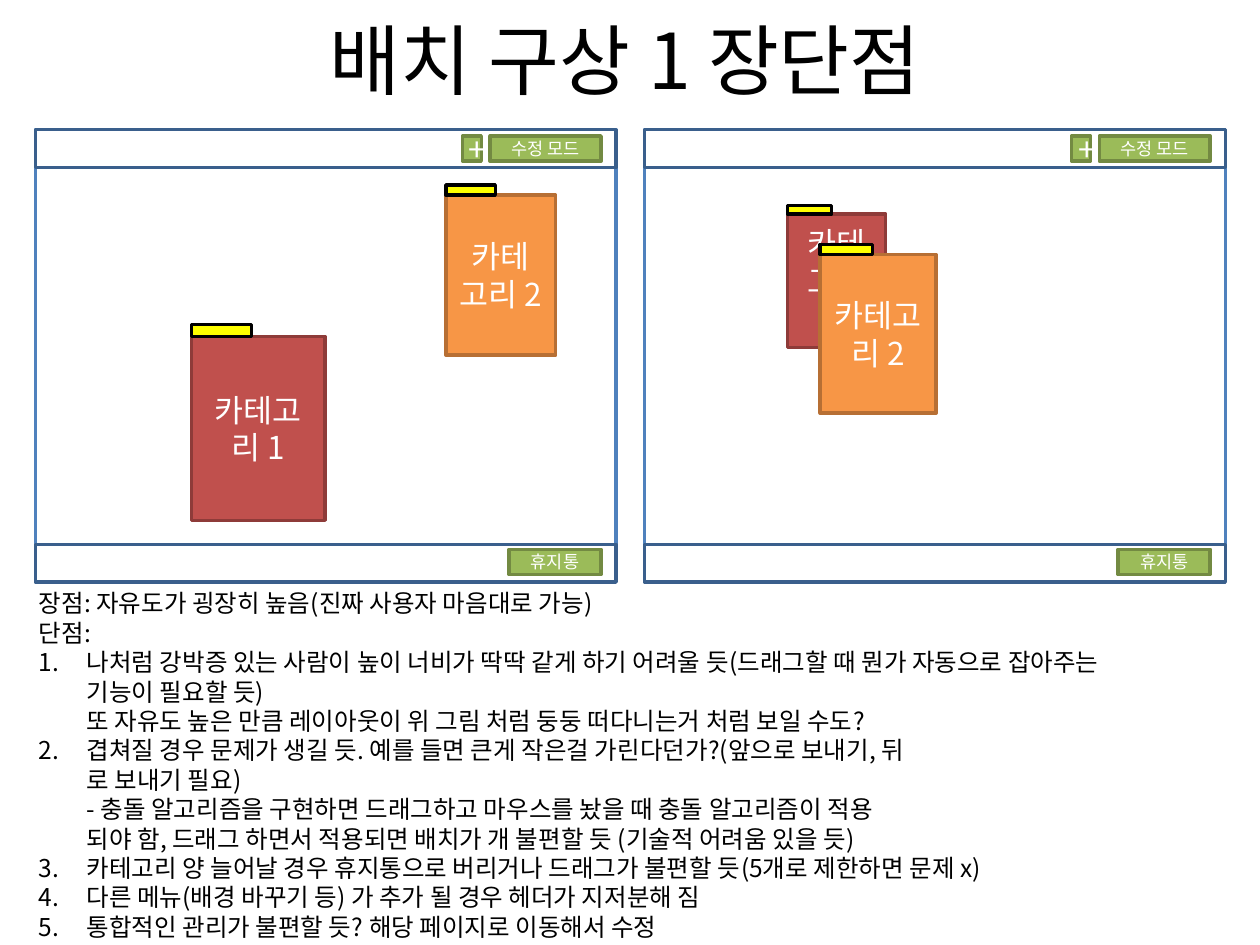
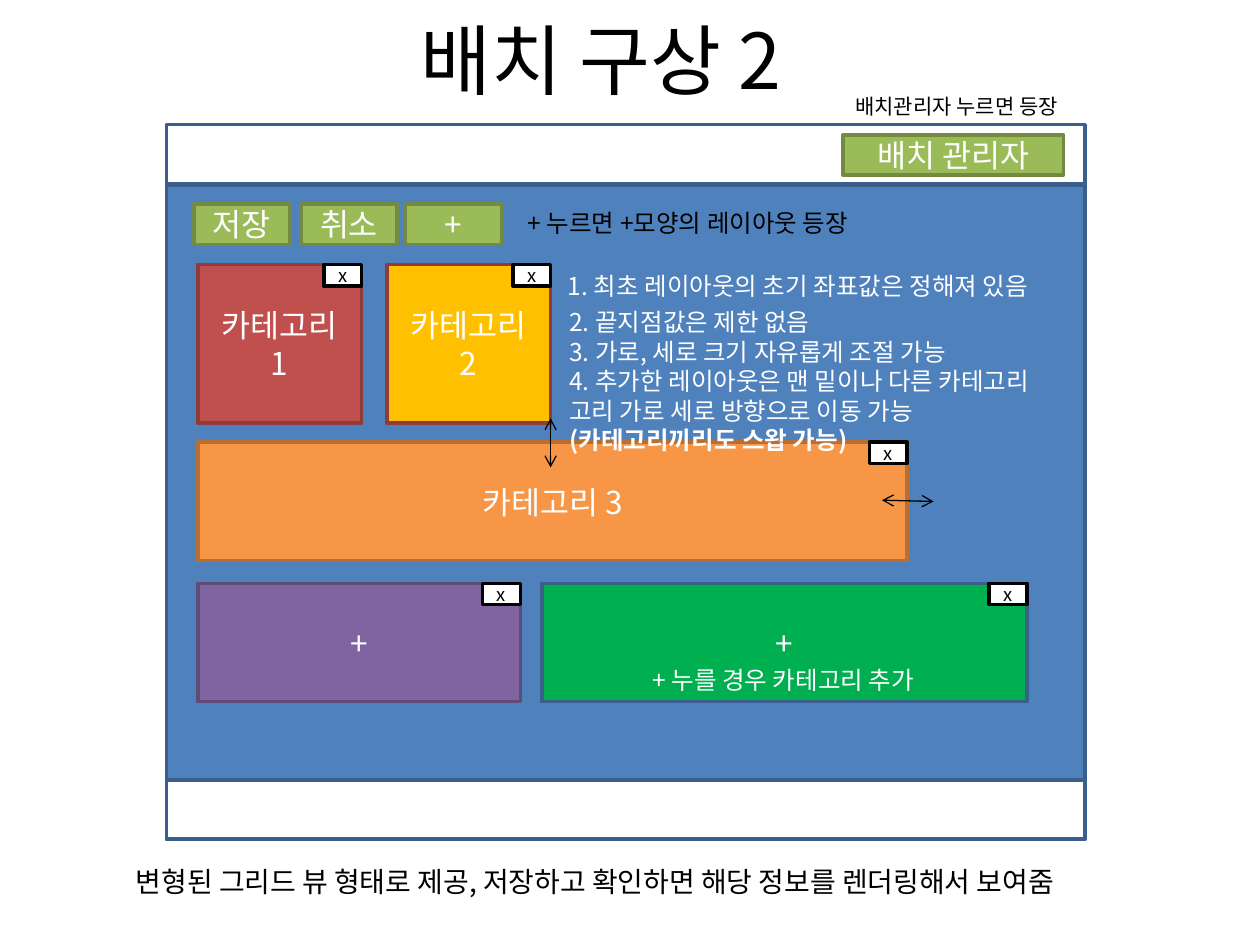
from copy import deepcopy

from lxml import etree
from pptx import Presentation
from pptx.dml.color import RGBColor
from pptx.enum.shapes import MSO_CONNECTOR, MSO_SHAPE
from pptx.enum.text import MSO_ANCHOR, MSO_AUTO_SIZE, PP_ALIGN
from pptx.oxml.ns import qn
from pptx.util import Inches, Pt

RECT, STRAIGHT = MSO_SHAPE.RECTANGLE, MSO_CONNECTOR.STRAIGHT
MIDDLE, CENTER = MSO_ANCHOR.MIDDLE, PP_ALIGN.CENTER
GROW = MSO_AUTO_SIZE.SHAPE_TO_FIT_TEXT

FONT = "Noto Sans CJK KR"
COLORS = {
    "white": "FFFFFF", "black": "000000", "yellow": "FFFF00",
    "blue": "4F81BD", "navy": "3A5F8C",
    "green": "9BBB59", "olive": "738A42",
    "red": "C0504D", "maroon": "8E3B39",
    "orange": "F79646", "brown": "B76F34",
    "purple": "8064A2", "plum": "5F4A78",
    "gold": "FFC000", "emerald": "00B050",
}

deck = Presentation()
deck.slide_width, deck.slide_height = Inches(10), Inches(7.5)
COL, ROW = deck.slide_width / 100, deck.slide_height / 75
BLANK = deck.slide_layouts[6]


def place(slide, area, text="", size=18, ink="white", fill=None, edge=None):
    """Add a filled rectangle, or a growing text box if no fill is given; area is in grid cells."""
    left, top, width, height = area
    frame = (round(left * COL), round(top * ROW), round(width * COL), round(height * ROW))
    if fill:
        item = slide.shapes.add_shape(RECT, *frame)
        item.shadow.inherit = False
        item.fill.solid()
        item.fill.fore_color.rgb = RGBColor.from_string(COLORS[fill])
        item.line.color.rgb = RGBColor.from_string(COLORS[edge])
        item.line.width = Pt(2)
        item.text_frame.vertical_anchor = MIDDLE
    else:
        item = slide.shapes.add_textbox(*frame)
        item.text_frame.word_wrap = False
        item.text_frame.auto_size = GROW
    item.text_frame.text = text
    for paragraph in item.text_frame.paragraphs:
        if fill:
            paragraph.alignment = CENTER
        for run in paragraph.runs:
            run.font.size = Pt(size)
            run.font.name = FONT
            run.font.color.rgb = RGBColor.from_string(COLORS[ink])
            etree.SubElement(run.font._element, qn("a:ea"), typeface=FONT)
        for line_break in paragraph._p.findall(qn("a:br")):
            line_break.append(deepcopy(paragraph.runs[0].font._element))
    return item


# Slide 1: free placement, two screens side by side
review = deck.slides.add_slide(BLANK)
place(review, (25.2, 0.5, 55.1, 8.4), "배치 구상 1 장단점", 44, "black")

SCREEN_LEFT, SCREEN_STEP, SCREEN_WIDTH = 2.8, 48.35, 46.1
TAB_WIDTH_SHARE, TAB_HEIGHT_SHARE = 0.45, 0.064
screens = [
    [((15.2, 26.7, 10.6, 14.6), "카테고리 1", "red", "maroon"),
     ((35.4, 15.5, 8.7, 12.7), "카테고리 2", "orange", "brown")],
    [((62.5, 17, 7.8, 10.6), "카테고리 1", "red", "maroon"),
     ((65.1, 20.2, 9.2, 12.6), "카테고리 2", "orange", "brown")],
]
for index, cards in enumerate(screens):
    left = SCREEN_LEFT + index * SCREEN_STEP
    place(review, (left, 10.3, SCREEN_WIDTH, 35.8), fill="white", edge="blue")
    for band_top in (10.3, 43.2):
        place(review, (left, band_top, SCREEN_WIDTH, 3), fill="white", edge="navy")
    for offset, top, width, label, size in [
        (37.6, 43.6, 7.3, "휴지통", 10),
        (36.1, 10.8, 8.8, "수정 모드", 10),
        (33.9, 10.8, 1.5, "+", 18),
    ]:
        place(review, (left + offset, top, width, 2), label, size, fill="green", edge="olive")
    for area, label, fill, edge in cards:
        place(review, area, label, fill=fill, edge=edge)
        card_left, card_top, card_width, card_height = area
        tab_height = card_height * TAB_HEIGHT_SHARE
        place(review, (card_left, card_top - tab_height, card_width * TAB_WIDTH_SHARE, tab_height),
              fill="yellow", edge="black")

verdict = [
    "장점: 자유도가 굉장히 높음(진짜 사용자 마음대로 가능)",
    "단점:",
    "나처럼 강박증 있는 사람이 높이 너비가 딱딱 같게 하기 어려울 듯(드래그할 때 뭔가 자동으로 잡아주는 \v"
    "기능이 필요할 듯) \v"
    "또 자유도 높은 만큼 레이아웃이 위 그림 처럼 둥둥 떠다니는거 처럼 보일 수도?",
    "겹쳐질 경우 문제가 생길 듯. 예를 들면 큰게 작은걸 가린다던가?(앞으로 보내기, 뒤\v"
    "로 보내기 필요)\v"
    "- 충돌 알고리즘을 구현하면 드래그하고 마우스를 놨을 때 충돌 알고리즘이 적용 \v"
    "되야 함, 드래그 하면서 적용되면 배치가 개 불편할 듯 (기술적 어려움 있을 듯)",
    "카테고리 양 늘어날 경우 휴지통으로 버리거나 드래그가 불편할 듯(5개로 제한하면 문제 x)",
    "다른 메뉴(배경 바꾸기 등) 가 추가 될 경우 헤더가 지저분해 짐",
    "통합적인 관리가 불편할 듯? 해당 페이지로 이동해서 수정",
]
pros_cons = place(review, (2.1, 46.2, 97.2, 29.3), "\n".join(verdict), 14, "black")
for drawback in pros_cons.text_frame.paragraphs[2:]:
    properties = drawback._p.get_or_add_pPr()
    properties.set("marL", str(Inches(0.38)))
    properties.set("indent", str(-Inches(0.38)))
    etree.SubElement(properties, qn("a:buFont"), typeface="+mj-lt")
    etree.SubElement(properties, qn("a:buAutoNum"), type="arabicPeriod")

# Slide 2: grid placement with a layout manager
proposal = deck.slides.add_slide(BLANK)
place(proposal, (32.4, 0.5, 34.5, 8.4), "배치 구상 2", 44, "black")

for top, height, fill, edge in [
    (9.9, 56.7, "white", "blue"),
    (9.9, 4.7, "white", "navy"),
    (61.9, 4.7, "white", "navy"),
    (14.7, 47.2, "blue", "navy"),
]:
    place(proposal, (13.2, top, 72.9, height), fill=fill, edge=edge)

for left, top, width, label in [
    (66.9, 10.7, 17.5, "배치 관리자"),
    (15.4, 16.2, 7.6, "저장"),
    (23.9, 16.2, 7.6, "취소"),
    (32.2, 16.2, 7.6, "+"),
]:
    place(proposal, (left, top, width, 3.2), label, fill="green", edge="olive")

CLOSE_WIDTH, CLOSE_HEIGHT = 3, 1.7
for area, label, fill, edge in [
    ((15.7, 21, 13, 12.6), "카테고리 1", "red", "maroon"),
    ((30.7, 21, 13, 12.6), "카테고리 2", "gold", "maroon"),
    ((15.7, 35.1, 56.3, 9.4), "카테고리 3", "orange", "brown"),
    ((15.7, 46.3, 25.6, 9.4), "+", "purple", "plum"),
    ((43, 46.3, 38.5, 9.4), "+", "emerald", "navy"),
]:
    place(proposal, area, label, fill=fill, edge=edge)
    card_left, card_top, card_width, card_height = area
    place(proposal, (card_left + card_width - CLOSE_WIDTH, card_top, CLOSE_WIDTH, CLOSE_HEIGHT),
          "x", 10.5, "black", fill="white", edge="black")

for area, text, size, ink in [
    ((66.9, 6.9, 20, 3), "배치관리자 누르면 등장", 12, "black"),
    ((9.8, 68.1, 84.4, 3.7),
     "변형된 그리드 뷰 형태로 제공, 저장하고 확인하면 해당 정보를 렌더링해서 보여줌", 16, "black"),
    ((40.9, 16, 31.7, 3.4), "+ 누르면 +모양의 레이아웃 등장", 14, "black"),
    ((44.1, 21, 43, 3.4), "1. 최초 레이아웃의 초기 좌표값은 정해져 있음", 14, "white"),
    ((50.8, 52.3, 25.8, 3.4), "+ 누를 경우 카테고리 추가", 14, "white"),
]:
    place(proposal, area, text, size, ink)

rules = [
    "2. 끝지점값은 제한 없음",
    "3. 가로, 세로 크기 자유롭게 조절 가능",
    "4. 추가한 레이아웃은 맨 밑이나 다른 카테고리",
    "고리 가로 세로 방향으로 이동 가능",
    "(카테고리끼리도 스왑 가능)",
]
layout_rules = place(proposal, (44.2, 23.9, 43, 12.8), "\n".join(rules), 14)
layout_rules.text_frame.paragraphs[-1].runs[0].font.bold = True

for x1, y1, x2, y2 in [(70, 39.7, 74.1, 39.8), (43.7, 33.2, 43.7, 37.1)]:
    resize = proposal.shapes.add_connector(
        STRAIGHT, round(x1 * COL), round(y1 * ROW), round(x2 * COL), round(y2 * ROW))
    resize.line.color.rgb = RGBColor.from_string(COLORS["black"])
    resize.line.width = Pt(0.75)
    for end in ("a:headEnd", "a:tailEnd"):
        etree.SubElement(resize.line._get_or_add_ln(), qn(end), type="arrow")
    etree.SubElement(resize._element.spPr, qn("a:effectLst"))

deck.save("out.pptx")
